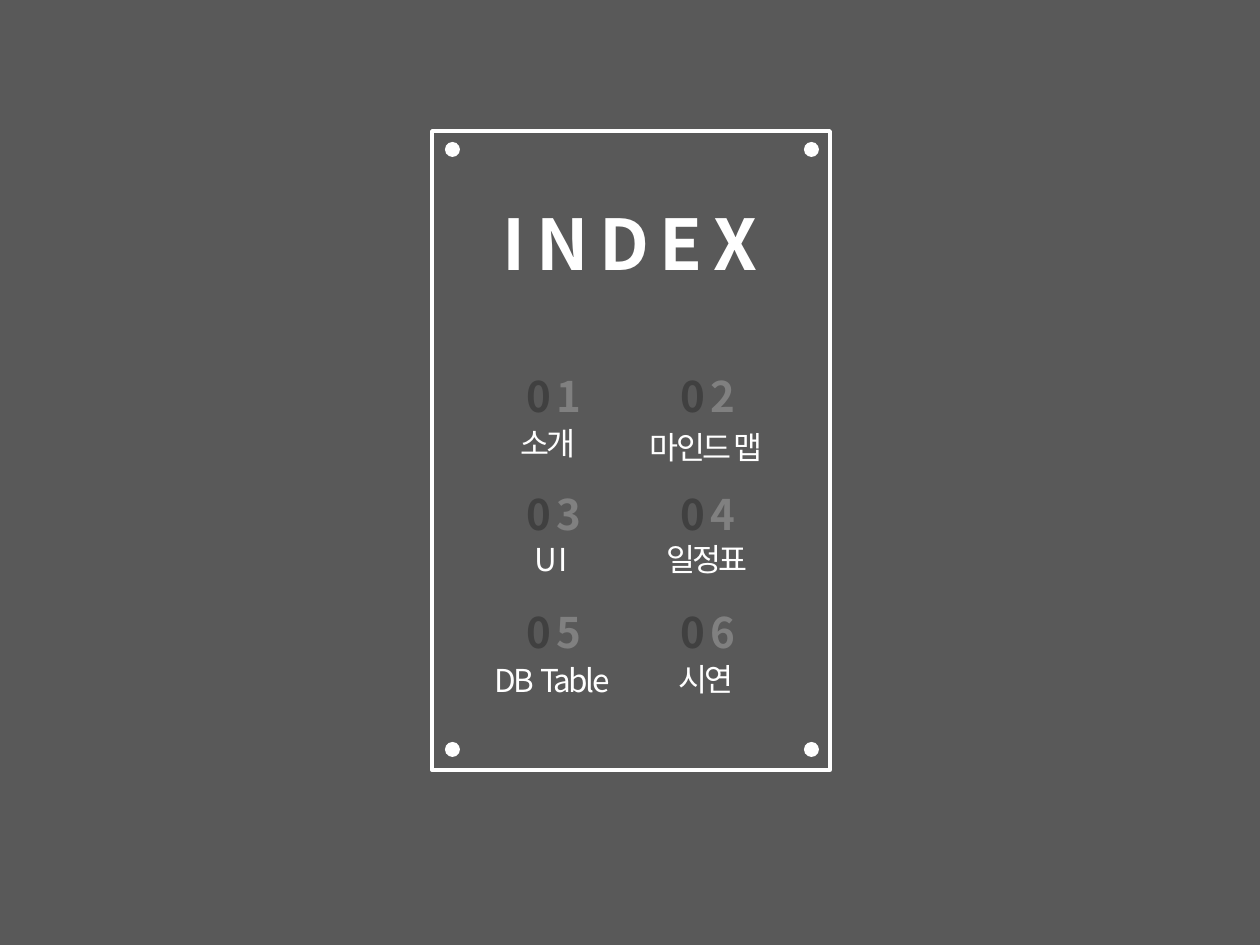
"""Build the index slide: a framed panel with a title and six numbered topics."""
from lxml import etree
from pptx import Presentation
from pptx.dml.color import RGBColor
from pptx.enum.shapes import MSO_SHAPE
from pptx.enum.text import MSO_AUTO_SIZE, PP_ALIGN
from pptx.oxml.ns import qn
from pptx.util import Emu, Pt

RECTANGLE, OVAL = MSO_SHAPE.RECTANGLE, MSO_SHAPE.OVAL
CENTER, GROW = PP_ALIGN.CENTER, MSO_AUTO_SIZE.SHAPE_TO_FIT_TEXT
FONT = "Noto Sans CJK KR"
WHITE, GRAY, DARK, BACKGROUND = "FFFFFF", "808080", "404040", "595959"
EMU_PER_PX = 914400 / 126
WIDTH, HEIGHT = 1260, 945


def px(length):
    return Emu(round(length * EMU_PER_PX))


def color(value):
    return RGBColor.from_string(value)


class IndexSlide:
    def __init__(self, slide):
        self.slide = slide
        slide.background.fill.solid()
        slide.background.fill.fore_color.rgb = color(BACKGROUND)

    def shape(self, preset, left, top, width, height):
        shape = self.slide.shapes.add_shape(preset, px(left), px(top), px(width), px(height))
        shape.shadow.inherit = False
        return shape

    def frame(self, left, top, width, height):
        frame = self.shape(RECTANGLE, left, top, width, height)
        frame.fill.background()
        frame.line.color.rgb = color(WHITE)
        frame.line.width = Pt(2)

    def dot(self, left, top, size=15):
        dot = self.shape(OVAL, left, top, size, size)
        dot.fill.solid()
        dot.fill.fore_color.rgb = color(WHITE)
        dot.line.fill.background()

    def text(self, center, top, width, height, runs, size, spacing, bold=False):
        box = self.slide.shapes.add_textbox(
            px(center - width / 2), px(top), px(width), px(height))
        frame = box.text_frame
        frame.word_wrap = True
        frame.auto_size = GROW
        paragraph = frame.paragraphs[0]
        paragraph.alignment = CENTER
        for words, ink in runs:
            run = paragraph.add_run()
            run.text = words
            run.font.name = FONT
            run.font.size = Pt(size)
            run.font.bold = bold
            run.font.color.rgb = color(ink)
            properties = run._r.get_or_add_rPr()
            properties.set("spc", str(round(spacing * 100)))
            etree.SubElement(properties, qn("a:ea")).set("typeface", FONT)

    def title(self, words):
        self.text(WIDTH / 2, 194, WIDTH, 97, [(words, WHITE)], 40, 6, True)

    def number(self, center, top, digit):
        runs = [("0", DARK), (str(digit), GRAY)]
        self.text(center, top, WIDTH, 63, runs, 24, 3, True)

    def label(self, center, top, width, words):
        self.text(center, top, width, 50, [(words, WHITE)], 18, -1.5)


def main():
    presentation = Presentation()
    presentation.slide_width, presentation.slide_height = px(WIDTH), px(HEIGHT)
    index = IndexSlide(presentation.slides.add_slide(presentation.slide_layouts[6]))

    index.frame(432, 131, 398, 639)
    for dot_top in (142, 742):
        for dot_left in (445, 804):
            index.dot(dot_left, dot_top)
    index.title("INDEX")

    column_centers, first_row, row_step = (554, 708), 364, 118
    topics = [
        ("소개", 548, 418, WIDTH),
        ("마인드 맵", 706, 422, 236),
        ("U I", 551, 534, 110),
        ("일정표", 707, 534, 189),
        ("DB  Table", 552, 655, WIDTH),
        ("시연", 706, 654, WIDTH),
    ]
    for position, (words, center, top, width) in enumerate(topics):
        row, column = divmod(position, 2)
        index.number(column_centers[column], first_row + row * row_step, position + 1)
        index.label(center, top, width, words)

    presentation.save("out.pptx")


if __name__ == "__main__":
    main()
